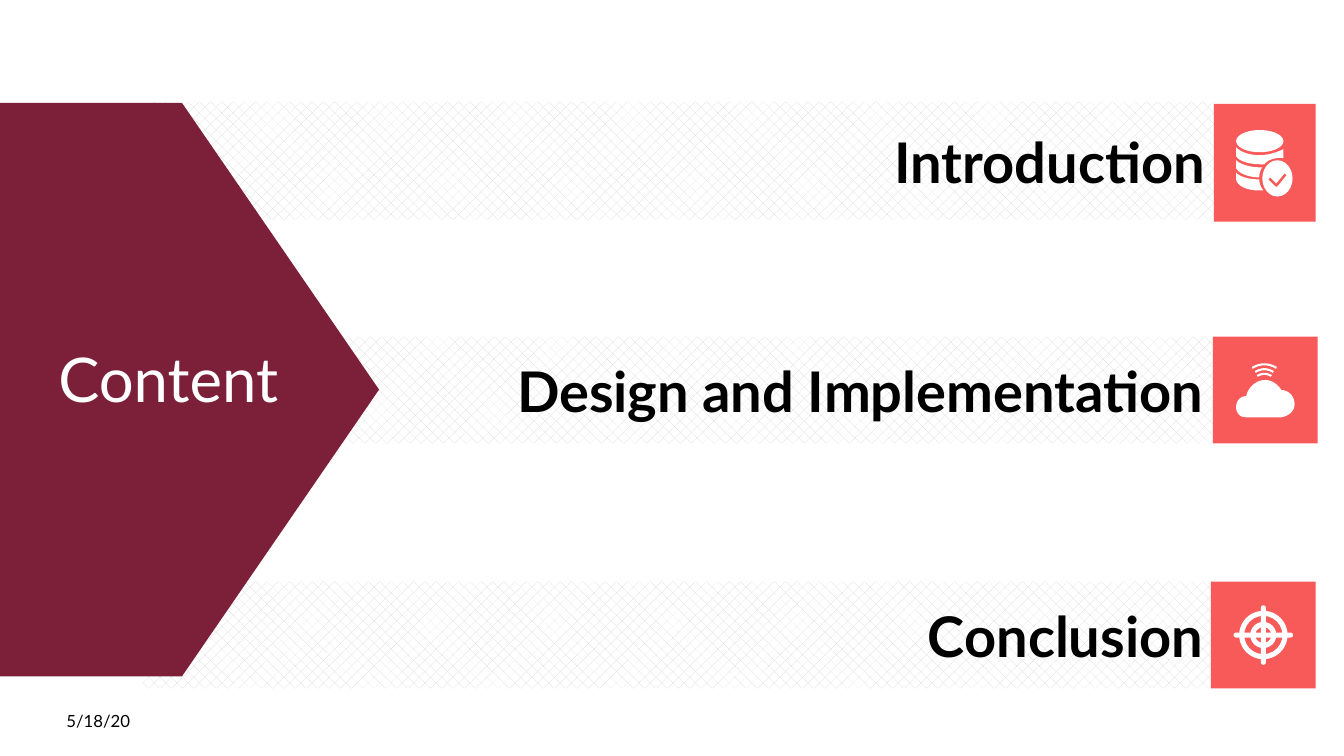
from pptx import Presentation
from pptx.dml.color import RGBColor
from pptx.enum.dml import MSO_PATTERN
from pptx.enum.shapes import MSO_SHAPE as SHAPE
from pptx.enum.text import MSO_ANCHOR as ANCHOR, MSO_AUTO_SIZE as AUTO, PP_ALIGN as ALIGN
from pptx.util import Inches, Pt

COLORS = {"wine": "7C203A", "coral": "F85959", "white": "FFFFFF",
          "black": "000000", "hatch": "D9D9D9"}
FONT = "Lato"


def rgb(name):
    return RGBColor.from_string(COLORS[name])


def write(tf, text, size=12, color="black", bold=False, align=ALIGN.LEFT, anchor=ANCHOR.MIDDLE):
    tf.word_wrap = True
    tf.vertical_anchor = anchor
    p = tf.paragraphs[0]
    p.alignment = align
    r = p.add_run()
    r.text = text
    r.font.name, r.font.size, r.font.bold = FONT, Pt(size), bold
    r.font.color.rgb = rgb(color)


def bezier(a, b, c, d, steps=12):
    """Points along a cubic curve, without its start."""
    for i in range(1, steps + 1):
        t = i / steps
        u = 1 - t
        yield tuple(u**3 * m + 3 * u * u * t * n + 3 * u * t * t * o + t**3 * q
                    for m, n, o, q in zip(a, b, c, d))


class Deck:
    def __init__(self):
        self.prs = Presentation()
        self.prs.slide_width, self.prs.slide_height = Inches(13.33), Inches(7.5)
        self.s = self.prs.slides.add_slide(self.prs.slide_layouts[5])

    def title(self, text, x, y, w, h, **fmt):
        sp = self.s.shapes.title
        sp.left, sp.top, sp.width, sp.height = map(Inches, (x, y, w, h))
        tf = sp.text_frame
        tf.auto_size = AUTO.NONE
        tf.margin_left = tf.margin_right = tf.margin_top = tf.margin_bottom = 0
        write(tf, text, **fmt)
        self.s.shapes.element.append(sp.element)  # bring to front

    def text(self, text, x, y, w, h, **fmt):
        sp = self.s.shapes.add_textbox(*map(Inches, (x, y, w, h)))
        write(sp.text_frame, text, **fmt)

    def shape(self, kind, x, y, w, h, color="white", adj=None):
        sp = self.s.shapes.add_shape(kind, *map(Inches, (x, y, w, h)))
        sp.shadow.inherit = False
        sp.fill.solid()
        sp.fill.fore_color.rgb = rgb(color)
        sp.line.fill.background()
        if adj is not None:
            sp.adjustments[0] = adj
        return sp

    def band(self, text, x, y, w, h):
        sp = self.shape(SHAPE.RECTANGLE, x, y, w, h)
        sp.fill.patterned()
        sp.fill.pattern = MSO_PATTERN.PERCENT_25
        sp.fill.fore_color.rgb = rgb("hatch")
        sp.fill.back_color.rgb = rgb("white")
        write(sp.text_frame, text, size=40, bold=True, align=ALIGN.RIGHT)

    def outline(self, start, *steps, stroke=None, color="white"):
        """Each step is a line (x, y) or a curve (x1, y1, x2, y2, x, y)."""
        pts = [start]
        for step in steps:
            if len(step) == 2:
                pts.append(step)
            else:
                pts += bezier(pts[-1], step[:2], step[2:4], step[4:])
        pts = [(Inches(x), Inches(y)) for x, y in pts]
        fb = self.s.shapes.build_freeform(*pts[0])
        fb.add_line_segments(pts[1:], close=stroke is None)
        sp = fb.convert_to_shape()
        sp.shadow.inherit = False
        if stroke:
            sp.fill.background()
            sp.line.width = Pt(stroke)
            sp.line.color.rgb = rgb(color)
        else:
            sp.fill.solid()
            sp.fill.fore_color.rgb = rgb(color)
            sp.line.fill.background()


def database_icon(d):
    d.shape(SHAPE.OVAL, 12.26, 1.29, 0.47, 0.22)
    d.outline((12.26, 1.46), (12.3, 1.51, 12.4, 1.54, 12.49, 1.54),
              (12.58, 1.54, 12.67, 1.51, 12.73, 1.48), (12.73, 1.57),
              (12.66, 1.56, 12.58, 1.58, 12.54, 1.63), (12.49, 1.63),
              (12.36, 1.63, 12.26, 1.58, 12.26, 1.54))
    d.outline((12.26, 1.59), (12.3, 1.63, 12.4, 1.66, 12.49, 1.66), (12.52, 1.66),
              (12.5, 1.69, 12.49, 1.72, 12.49, 1.76),
              (12.36, 1.76, 12.26, 1.7, 12.26, 1.66))
    d.outline((12.26, 1.71), (12.3, 1.76, 12.4, 1.78, 12.49, 1.78),
              (12.49, 1.83, 12.51, 1.86, 12.53, 1.89), (12.49, 1.89),
              (12.36, 1.89, 12.26, 1.84, 12.26, 1.77))
    d.shape(SHAPE.OVAL, 12.52, 1.59, 0.3, 0.36)
    d.outline((12.59, 1.77), (12.66, 1.84), (12.75, 1.73), stroke=1.75, color="coral")


def cloud_icon(d):
    d.outline((12.71, 3.87), (12.67, 3.81, 12.61, 3.77, 12.55, 3.77),
              (12.46, 3.77, 12.38, 3.84, 12.36, 3.93),
              (12.3, 3.93, 12.26, 3.98, 12.26, 4.04),
              (12.26, 4.09, 12.29, 4.12, 12.31, 4.13),
              (12.33, 4.14, 12.36, 4.14, 12.36, 4.14), (12.71, 4.14),
              (12.71, 4.14, 12.84, 4.12, 12.84, 4.01),
              (12.84, 3.93, 12.78, 3.87, 12.71, 3.87))
    # Signal arcs, narrowing towards the cloud
    cx = 12.54
    for half, y in ((0.12, 3.65), (0.09, 3.69), (0.07, 3.73)):
        rise = half * 0.4
        d.outline((cx - half, y), (cx - half / 3, y - rise, cx + half / 3, y - rise, cx + half, y),
                  stroke=1.5)


def target_icon(d):
    cx, cy, bar = 12.53, 6.3, 0.05
    for radius in (0.24, 0.13):
        d.shape(SHAPE.DONUT, cx - radius, cy - radius, 2 * radius, 2 * radius,
                adj=bar / (2 * radius))
    for w, h in ((0.59, bar), (bar, 0.59)):
        d.shape(SHAPE.ROUNDED_RECTANGLE, cx - w / 2, cy - h / 2, w, h, adj=0.5)


d = Deck()
d.text("5/18/20", 0.56, 6.95, 3, 0.4)

# Agenda rows: label, band left and width, tile left and width, tops, height, icon
ROWS = [
    ("Introduction", 1.42, 10.63, 12.04, 1.01, 1.01, 1.03, 1.17, database_icon),
    ("Design and Implementation", 2.22, 9.81, 12.03, 1.04, 3.34, 3.34, 1.06, cloud_icon),
    ("Conclusion", 1.42, 10.61, 12.01, 1.04, 5.77, 5.77, 1.06, target_icon),
]
for label, x, w, tile_x, tile_w, y, tile_y, h, icon in ROWS:
    d.band(label, x, y, w, h)
    d.shape(SHAPE.RECTANGLE, tile_x, tile_y, tile_w, h, "coral")
    icon(d)

# Arrow panel with the slide title
d.shape(SHAPE.PENTAGON, 0, 1.02, 3.76, 5.69, "wine", adj=0.52)
d.title("Content", -0.54, 3.38, 4.42, 0.74, size=44, color="white",
        align=ALIGN.CENTER, anchor=ANCHOR.TOP)

d.prs.save("out.pptx")
